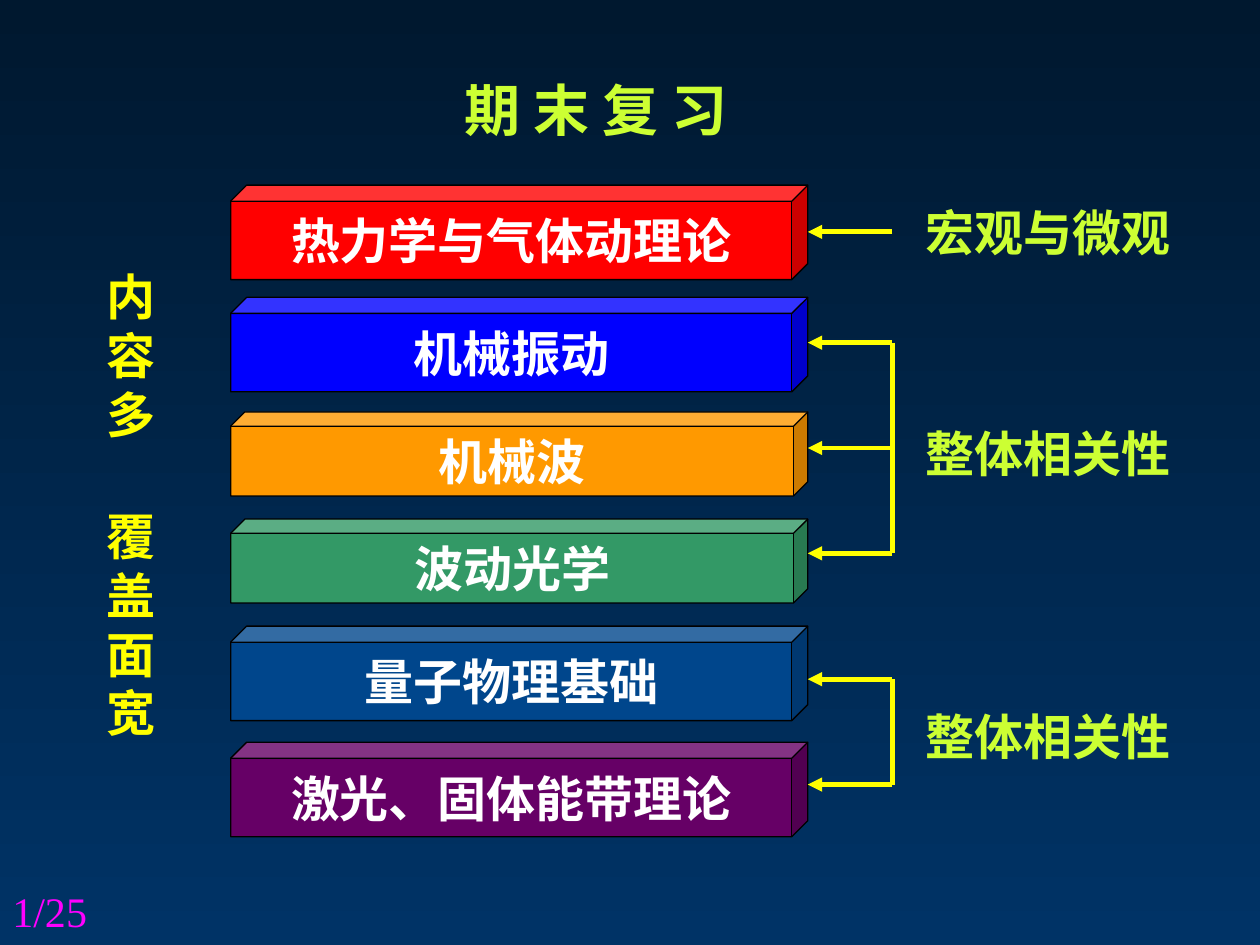
from lxml import etree
from pptx import Presentation
from pptx.dml.color import RGBColor
from pptx.enum.shapes import MSO_CONNECTOR, MSO_SHAPE
from pptx.enum.text import MSO_ANCHOR, PP_ALIGN
from pptx.oxml.ns import qn
from pptx.util import Pt

CUBE, STRAIGHT = MSO_SHAPE.CUBE, MSO_CONNECTOR.STRAIGHT
LEFT, CENTER = PP_ALIGN.LEFT, PP_ALIGN.CENTER
TOP, MIDDLE = MSO_ANCHOR.TOP, MSO_ANCHOR.MIDDLE

NIGHT = RGBColor(0x00, 0x18, 0x2F)
NAVY = RGBColor(0x00, 0x33, 0x66)
BLACK = RGBColor(0x00, 0x00, 0x00)
WHITE = RGBColor(0xFF, 0xFF, 0xFF)
YELLOW = RGBColor(0xFF, 0xFF, 0x00)
LIME = RGBColor(0xCC, 0xFF, 0x33)
MAGENTA = RGBColor(0xFF, 0x00, 0xFF)
RED = RGBColor(0xFF, 0x00, 0x00)
BLUE = RGBColor(0x00, 0x00, 0xFF)
ORANGE = RGBColor(0xFF, 0x99, 0x00)
GREEN = RGBColor(0x33, 0x99, 0x66)
STEEL = RGBColor(0x00, 0x46, 0x8C)
PURPLE = RGBColor(0x66, 0x00, 0x66)

CHINESE_FONT = "Noto Sans CJK SC"
LATIN_FONT = "Times New Roman"
LINE_RATIO = 1.2

TITLE = "期 末 复 习"
PAGE_NUMBER = "1/25"
TOPICS = [
    ("热力学与气体动理论", RED, 105.8, 54),
    ("机械振动", BLUE, 169.9, 54),
    ("机械波", ORANGE, 235.4, 48),
    ("波动光学", GREEN, 296.6, 48),
    ("量子物理基础", STEEL, 357.8, 54),
    ("激光、固体能带理论", PURPLE, 424.1, 54),
]
REMARKS = [("宏观与微观", 112.3), ("整体相关性", 238.3), ("整体相关性", 400.3)]
SIDE_NOTES = [("内容多", 149, 108), ("覆盖面宽", 285.8, 141.8)]
BRACKETS = [(132.5, 1), (195.8, 3), (388.1, 2)]

CUBE_LEFT, CUBE_WIDTH = 131.8, 329.8
ARROW_TIP = CUBE_LEFT + CUBE_WIDTH
ARROW_START = 510
ARROW_STEP = 60.2


def write_text(shape, text, *, color, size=28, font=CHINESE_FONT, bold=True,
               align=LEFT, anchor=MIDDLE, wrap=True):
    """Write text into a shape, one paragraph per line."""
    frame = shape.text_frame
    frame.word_wrap = wrap
    frame.vertical_anchor = anchor
    frame.margin_left = frame.margin_right = Pt(7.2)
    frame.margin_top = frame.margin_bottom = Pt(3.6)
    frame.text = text
    for paragraph in frame.paragraphs:
        paragraph.alignment = align
        paragraph.line_spacing = Pt(size * LINE_RATIO)
        for run in paragraph.runs:
            run.font.size = Pt(size)
            run.font.bold = bold
            run.font.name = font
            run.font.color.rgb = color
            east_asian = etree.Element(qn("a:ea"), typeface=CHINESE_FONT)
            run.font._element.find(qn("a:latin")).addnext(east_asian)


def add_text(slide, text, left, top, width, height, **text_format):
    """Add a text box."""
    box = slide.shapes.add_textbox(Pt(left), Pt(top), Pt(width), Pt(height))
    write_text(box, text, **text_format)


def add_cube(slide, text, color, top, height):
    """Add one topic block."""
    cube = slide.shapes.add_shape(
        CUBE, Pt(CUBE_LEFT), Pt(top), Pt(CUBE_WIDTH), Pt(height))
    cube.adjustments[0] = 0.17
    cube.shadow.inherit = False
    cube.fill.solid()
    cube.fill.fore_color.rgb = color
    cube.line.color.rgb = BLACK
    cube.line.width = Pt(0.75)
    write_text(cube, text, color=WHITE, align=CENTER, wrap=False)


def add_line(slide, start, end, arrow=False):
    """Add a yellow line, with an arrowhead at its end if asked."""
    line = slide.shapes.add_connector(STRAIGHT, *map(Pt, start + end))
    line.line.color.rgb = YELLOW
    line.line.width = Pt(2.75)
    if arrow:
        etree.SubElement(line.line._get_or_add_ln(), qn("a:tailEnd"), type="triangle")
    etree.SubElement(line._element.spPr, qn("a:effectLst"))


def add_bracket(slide, top, count):
    """Add evenly spaced arrows joined by an upright line."""
    levels = [top + ARROW_STEP * index for index in range(count)]
    for level in levels:
        add_line(slide, (ARROW_START, level), (ARROW_TIP, level), arrow=True)
    if count > 1:
        add_line(slide, (ARROW_START, levels[0]), (ARROW_START, levels[-1]))


def main():
    """Build the review overview slide."""
    presentation = Presentation()
    presentation.slide_width, presentation.slide_height = Pt(720), Pt(540)
    slide = presentation.slides.add_slide(presentation.slide_layouts[5])

    background = slide.background.fill
    background.gradient()
    background.gradient_angle = 270
    for stop, color, position in zip(background.gradient_stops, (NIGHT, NAVY), (0, 1)):
        stop.color.rgb = color
        stop.position = position

    title = slide.shapes.title
    title.left, title.top, title.width, title.height = map(Pt, (247.7, 39.6, 185.8, 46))
    write_text(title, TITLE, color=LIME, size=32, font=LATIN_FONT, align=CENTER)

    for topic in TOPICS:
        add_cube(slide, *topic)
    for text, top in REMARKS:
        add_text(slide, text, 522, top, 174.2, 41, color=LIME, font=LATIN_FONT)
    for text, top, height in SIDE_NOTES:
        add_text(slide, "\n".join(text), 54, top, 45.4, height, color=YELLOW)
    for bracket in BRACKETS:
        add_bracket(slide, *bracket)
    add_text(slide, PAGE_NUMBER, 0, 502.6, 167.8, 37.4, color=MAGENTA, size=24,
             font=LATIN_FONT, bold=False, anchor=TOP)

    presentation.save("out.pptx")


if __name__ == "__main__":
    main()
